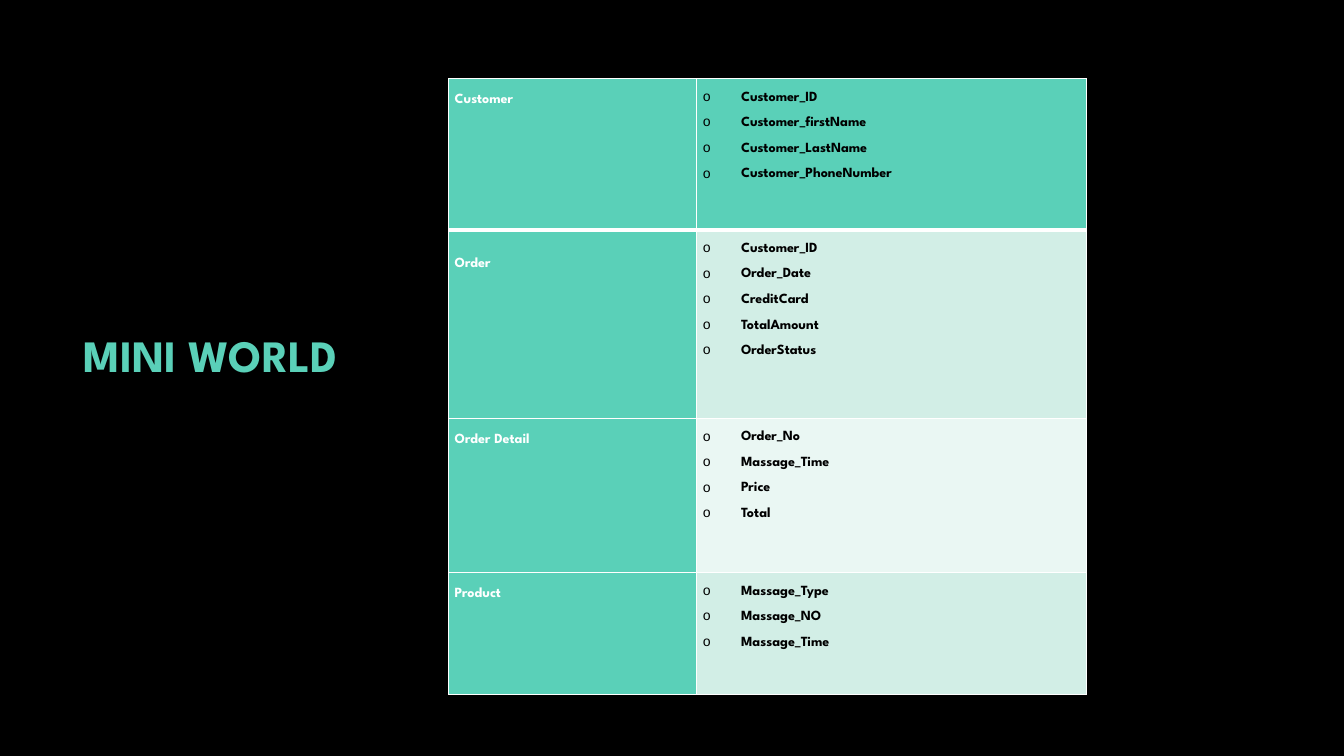
from pptx import Presentation
from pptx.dml.color import RGBColor as RGB
from pptx.enum.text import MSO_ANCHOR as Anchor
from pptx.oxml import parse_xml
from pptx.oxml.ns import nsdecls
from pptx.util import Inches, Pt

# Content: entity, fields, space above the label, field fill
TITLE = "MINI WORLD"
ROWS = [
    ("Customer", ["Customer_ID", "Customer_firstName", "Customer_LastName",
                  "Customer_PhoneNumber"], 0.14, "mint"),
    ("Order", ["Customer_ID", "Order_Date", "CreditCard", "TotalAmount",
               "OrderStatus"], 0.27, "pale"),
    ("Order Detail", ["Order_No", "Massage_Time", "Price", "Total"],
     0.14, "faint"),
    ("Product", ["Massage_Type", "Massage_NO", "Massage_Time"],
     0.14, "pale"),
]
WIDTHS = [2.46, 3.87]
HEIGHTS = [1.5, 1.87, 1.53, 1.21]
COLORS = {"black": "000000", "white": "FFFFFF", "mint": "5AD0B8",
          "pale": "D2EEE6", "faint": "EAF7F3"}
FONT = {"name": "League Spartan", "bold": True}


def color(key):
    return RGB.from_string(COLORS[key])


def style(para, size, key):
    for name, value in {**FONT, "size": Pt(size)}.items():
        setattr(para.font, name, value)
    para.font.color.rgb = color(key)


def border(cell, row):
    # The first row is set off by a thick rule
    wide = {"L": 1, "R": 1, "T": 3 if row == 1 else 1,
            "B": 3 if row == 0 else 1}
    props = cell._tc.get_or_add_tcPr()
    for side, width in wide.items():
        props.append(parse_xml(
            f'<a:ln{side} {nsdecls("a")} w="{Pt(width)}"><a:solidFill>'
            f'<a:srgbClr val="{COLORS["white"]}"/></a:solidFill></a:ln{side}>'))


def bullet(para):
    props = para._p.get_or_add_pPr()
    props.set("marL", str(Inches(0.38)))
    props.set("indent", str(-Inches(0.38)))
    for tag in ('buFont {} typeface="Courier New"', 'buChar {} char="o"'):
        props.append(parse_xml(f'<a:{tag.format(nsdecls("a"))}/>'))


def write(cell, lines, row, fill, ink, top=0, listed=False):
    border(cell, row)
    cell.fill.solid()
    cell.fill.fore_color.rgb = color(fill)
    edges = {"left": 0.06, "right": 0.06, "top": top, "bottom": 0}
    for side, gap in edges.items():
        setattr(cell, f"margin_{side}", Inches(gap))
    frame = cell.text_frame
    frame.text = "\n".join(lines)
    for para in frame.paragraphs:
        if listed:
            bullet(para)
        para.line_spacing = 2.0 if listed else 1.07
        style(para, 10, ink)


# Slide
deck = Presentation()
deck.slide_width, deck.slide_height = Inches(13.33), Inches(7.5)
slide = deck.slides.add_slide(deck.slide_layouts[6])
slide.background.fill.solid()
slide.background.fill.fore_color.rgb = color("black")

# Title
box = slide.shapes.add_textbox(
    Inches(0.73), Inches(2.48), Inches(3.6), Inches(2.08))
frame = box.text_frame
frame.word_wrap = True
frame.vertical_anchor = Anchor.MIDDLE
frame.text = TITLE
style(frame.paragraphs[0], 32, "mint")

# Table of entities and their fields
table = slide.shapes.add_table(
    len(ROWS), len(WIDTHS), Inches(4.45), Inches(0.78),
    Inches(sum(WIDTHS)), Inches(sum(HEIGHTS))).table
for col, width in zip(table.columns, WIDTHS):
    col.width = Inches(width)
for row, height in zip(table.rows, HEIGHTS):
    row.height = Inches(height)
for i, (label, fields, top, fill) in enumerate(ROWS):
    write(table.cell(i, 0), [label], i, "mint", "white", top)
    write(table.cell(i, 1), fields, i, fill, "black", listed=True)

deck.save("out.pptx")
